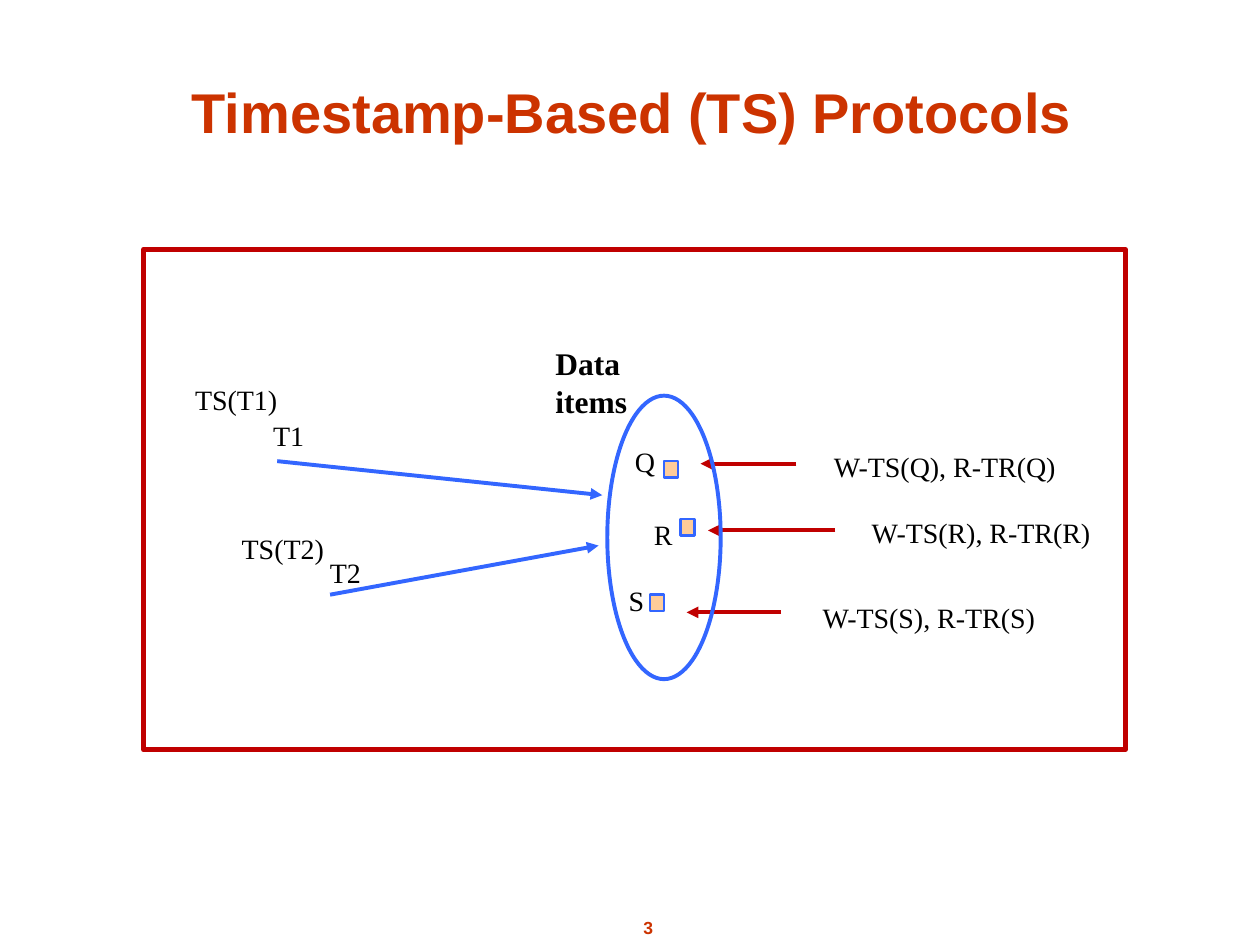
from pptx import Presentation
from pptx.dml.color import RGBColor
from pptx.enum.shapes import MSO_CONNECTOR as LINE, MSO_SHAPE as SHAPE
from pptx.enum.text import MSO_ANCHOR as ANCHOR, MSO_AUTO_SIZE as FIT, PP_ALIGN as ALIGN
from pptx.oxml.ns import qn
from pptx.util import Inches, Pt
from lxml.etree import SubElement

COLORS = {"title": "CC3300", "text": "000000", "red": "C00000",
          "blue": "3366FF", "item": "FFCC99"}
TITLE = {"name": "Arial", "size": Pt(32), "bold": True}
NUMBER = {"name": "Arial", "size": Pt(10), "bold": True}
HEADING = {"name": "Times New Roman", "size": Pt(18), "bold": True}
LABEL = {"name": "Times New Roman", "size": Pt(16), "bold": False}
LABEL_HEIGHT = 0.37


def color(name):
    """Return the named colour."""
    return RGBColor.from_string(COLORS[name])


def inside(box, left, top, width, height):
    """Move a rectangle from the coordinates of a box to those of the page."""
    return box[0] + left, box[1] + top, width, height


def write(frame, lines, values, tint="text", align=ALIGN.LEFT):
    """Write formatted lines into a text frame."""
    for index, line in enumerate(lines):
        para = frame.paragraphs[0] if index == 0 else frame.add_paragraph()
        para.alignment = align
        span = para.add_run()
        span.text = line
        for name, value in values.items():
            setattr(span.font, name, value)
        span.font.color.rgb = color(tint)


def add_text(page, box, lines, values=LABEL, **style):
    """Add an unwrapped text box that grows with its text."""
    frame = page.shapes.add_textbox(*map(Inches, box)).text_frame
    frame.word_wrap = False
    frame.auto_size = FIT.SHAPE_TO_FIT_TEXT
    write(frame, lines, values, **style)


def add_outline(page, kind, box, tint, weight, fill=None):
    """Add an outlined shape, filled if a fill is named."""
    shape = page.shapes.add_shape(kind, *map(Inches, box))
    shape.shadow.inherit = False
    shape.line.color.rgb = color(tint)
    shape.line.width = Pt(weight)
    if fill:
        shape.fill.solid()
        shape.fill.fore_color.rgb = color(fill)
    else:
        shape.fill.background()


def add_arrow(page, box, start, tip, tint):
    """Add an arrow between two points given relative to a box."""
    points = [Inches(base + step) for point in (start, tip)
              for base, step in zip(box, point)]
    arrow = page.shapes.add_connector(LINE.STRAIGHT, *points)
    arrow.line.color.rgb = color(tint)
    arrow.line.width = Pt(2.25)
    properties = arrow._element.spPr
    SubElement(properties.find(qn("a:ln")), qn("a:tailEnd"), type="triangle")
    SubElement(properties, qn("a:effectLst"))


def place_title(page, box, text):
    """Move and format the title placeholder."""
    title = page.shapes.title
    title.left, title.top, title.width, title.height = map(Inches, box)
    title.text_frame.vertical_anchor = ANCHOR.BOTTOM
    write(title.text_frame, [text], TITLE, "title", ALIGN.CENTER)


def draw_transactions(page, box):
    """Draw the transactions, their timestamps and their arrows."""
    transactions = [
        ("T1", (0, 0), (0.62, 0.28), (0.75, 0.67), (3.33, 0.94)),
        ("T2", (0.37, 1.18), (1.07, 1.37), (1.17, 1.73), (3.3, 1.34)),
    ]
    for name, stamp, label, start, tip in transactions:
        add_text(page, inside(box, *stamp, 0.85, LABEL_HEIGHT), [f"TS({name})"])
        add_text(page, inside(box, *label, 0.45, LABEL_HEIGHT), [name])
        add_arrow(page, box, start, tip, "blue")


def draw_data_items(page, box):
    """Draw the set of data items under its heading."""
    add_text(page, inside(box, 0, 0, 0.77, 0.7), ["Data", "items"], HEADING)
    left, top = 0.51, 0.46
    oval = inside(box, left, top, box[2] - left, box[3] - top)
    add_outline(page, SHAPE.OVAL, oval, "blue", 2.25)
    items = [
        ("Q", (0.63, 0.8), 0.36, (0.96, 0.98)),
        ("R", (0.78, 1.38), 0.35, (1.09, 1.44)),
        ("S", (0.58, 1.9), 0.32, (0.85, 2.04)),
    ]
    for name, label, width, square in items:
        add_outline(page, SHAPE.RECTANGLE, inside(box, *square, 0.11, 0.13),
                    "blue", 1.5, "item")
        add_text(page, inside(box, *label, width, LABEL_HEIGHT), [name])


def draw_item_timestamps(page, box):
    """Draw the write and read timestamps that point at the items."""
    stamps = [
        ("Q", (1.07, 0), 1.97, 0.16, 0.87, 0.11),
        ("R", (1.37, 0.52), 1.95, 0.69, 1.18, 0.17),
        ("S", (0.98, 1.2), 1.9, 1.34, 0.75, 0),
    ]
    for name, label, width, level, start, tip in stamps:
        add_text(page, inside(box, *label, width, LABEL_HEIGHT),
                 [f"W-TS({name}), R-TR({name})"])
        add_arrow(page, box, (start, level), (tip, level), "red")


def draw_diagram(page, box):
    """Draw the framed diagram."""
    draw_item_timestamps(page, inside(box, 4.31, 1.54, 3.32, 1.57))
    draw_data_items(page, inside(box, 3.17, 0.7, 1.41, 2.71))
    draw_transactions(page, inside(box, 0.31, 1.01, 3.33, 1.74))
    add_outline(page, SHAPE.RECTANGLE, box, "red", 3)


def main():
    """Build and save the deck."""
    deck = Presentation()
    deck.slide_width, deck.slide_height = Inches(10), Inches(7.5)
    page = deck.slides.add_slide(deck.slide_layouts[5])
    place_title(page, (0.6, 0.53, 8.83, 0.67), "Timestamp-Based (TS) Protocols")
    draw_diagram(page, (1.14, 1.98, 7.79, 3.97))
    add_text(page, (4.71, 7.23, 0.87, 0.27), ["3"], NUMBER,
             tint="title", align=ALIGN.CENTER)
    deck.save("out.pptx")


if __name__ == "__main__":
    main()
